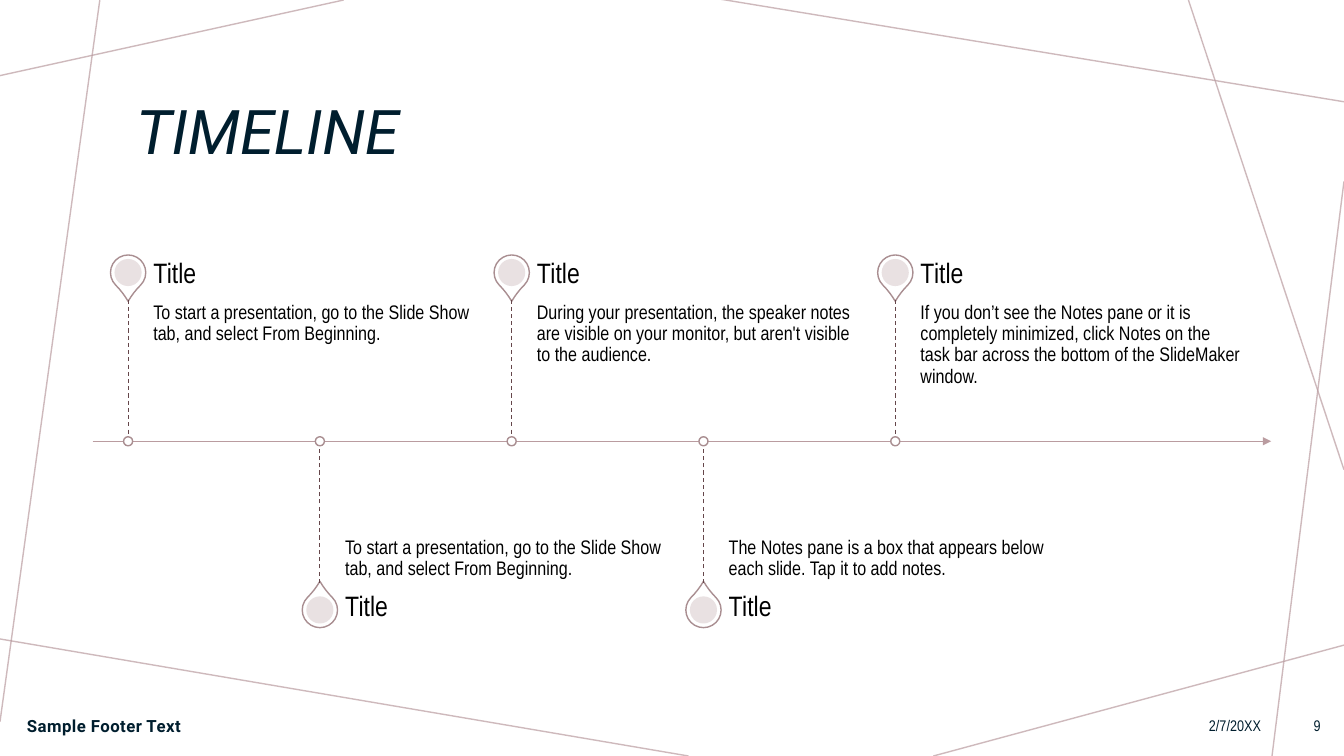
import pptx
import pptx.util
import pptx.dml.color
import pptx.enum.dml
import pptx.enum.shapes
import pptx.enum.text
import pptx.oxml
import pptx.oxml.ns
from dataclasses import dataclass

Pt = pptx.util.Pt
Shape = pptx.enum.shapes.MSO_SHAPE
Align = pptx.enum.text.PP_ALIGN
Anchor = pptx.enum.text.MSO_ANCHOR


@dataclass(frozen=True)
class Theme:
    white: str = "FFFFFF"
    ink: str = "001E2E"
    black: str = "000000"
    rose: str = "BA9CA0"
    outline: str = "A98E91"
    stem: str = "65464A"
    disc: str = "E7DEDF"
    heading_font: str = "Roboto"
    body_font: str = "Arial Narrow"
    title_size: float = 44
    label_size: float = 20
    body_size: float = 14
    footer_size: float = 12
    small_size: float = 11


THEME = Theme()

SLIDE_SIZE = (960, 540)
TITLE = "TIMELINE"
MILESTONES = [
    ("Title", "To start a presentation, go to the Slide Show tab, and select From Beginning."),
    ("Title", "To start a presentation, go to the Slide Show tab, and select From Beginning."),
    ("Title", "During your presentation, the speaker notes are visible on your monitor, "
              "but aren't visible to the audience."),
    ("Title", "The Notes pane is a box that appears below each slide. Tap it to add notes."),
    ("Title", "If you don’t see the Notes pane or it is completely minimized, click Notes on the "
              "task bar across the bottom of the SlideMaker window."),
]
FOOTER = "Sample Footer Text"
DATE = "2/7/20XX"
PAGE_NUMBER = "9"

# Start and end of each background line: x1, y1, x2, y2
BACKGROUND_LINES = [
    (245.5, 0, 0, 54),
    (71.3, 0, 0, 515.5),
    (491.8, 540, -3.6, 455.8),
    (960, 460.8, 666.7, 540),
    (960, 129.6, 908.6, 540),
    (960, 335.5, 848.9, 0),
    (960, 72.7, 514.1, -0.7),
]

AXIS_Y, AXIS_START, AXIS_END = 315.2, 66.2, 908
FIRST_X, STEP_X = 91.5, 137
STEM, PIN_OFFSET = 101.2, 120.5
PIN_SIZE, DISC_SIZE, DOT_SIZE = 25.2, 19.4, 6.5
TEXT_GAP, TEXT_WIDTH, LABEL_HEIGHT = 18, 231, 35.5


def set_alpha(properties, percent):
    color = properties.find(".//" + pptx.oxml.ns.qn("a:srgbClr"))
    alpha = color.makeelement(pptx.oxml.ns.qn("a:alpha"), {"val": str(percent * 1000)})
    color.append(alpha)


def add_line(page, ends, color, width, dashed=False, alpha=None, arrow=False):
    line = page.shapes.add_connector(
        pptx.enum.shapes.MSO_CONNECTOR.STRAIGHT, *[Pt(value) for value in ends])
    line.line.color.rgb = pptx.dml.color.RGBColor.from_string(color)
    line.line.width = Pt(width)
    if dashed:
        line.line.dash_style = pptx.enum.dml.MSO_LINE.DASH
    properties = line._element.spPr
    if alpha:
        set_alpha(properties, alpha)
    if arrow:
        stroke = properties.find(pptx.oxml.ns.qn("a:ln"))
        stroke.append(stroke.makeelement(pptx.oxml.ns.qn("a:tailEnd"), {"type": "triangle"}))
    properties.append(properties.makeelement(pptx.oxml.ns.qn("a:effectLst"), {}))


def add_marker(page, kind, x, y, size, fill, outline=None):
    """Add a shape of equal width and height, centred on x, y."""
    marker = page.shapes.add_shape(kind, Pt(x - size / 2), Pt(y - size / 2), Pt(size), Pt(size))
    marker.shadow.inherit = False
    marker.fill.solid()
    marker.fill.fore_color.rgb = pptx.dml.color.RGBColor.from_string(fill)
    if outline:
        marker.line.color.rgb = pptx.dml.color.RGBColor.from_string(outline)
        marker.line.width = Pt(1)
    else:
        marker.line.fill.background()
    return marker


def format_text(box, text, font, size, color, align=Align.LEFT, anchor=Anchor.MIDDLE,
                insets=(7.2, 3.6), spacing=None, **styles):
    frame = box.text_frame
    frame_format = {
        "word_wrap": True, "auto_size": pptx.enum.text.MSO_AUTO_SIZE.NONE,
        "vertical_anchor": anchor,
        "margin_left": Pt(insets[0]), "margin_right": Pt(insets[0]),
        "margin_top": Pt(insets[1]), "margin_bottom": Pt(insets[1]),
    }
    for name, value in frame_format.items():
        setattr(frame, name, value)
    para = frame.paragraphs[0]
    para.alignment = align
    if spacing:
        para.line_spacing = spacing
    span = para.add_run()
    span.text = text
    for name, value in {"name": font, "size": Pt(size), **styles}.items():
        setattr(span.font, name, value)
    span.font.color.rgb = pptx.dml.color.RGBColor.from_string(color)
    return span


def add_text(page, place, text, font, size, color, **options):
    box = page.shapes.add_textbox(*[Pt(value) for value in place])
    return format_text(box, text, font, size, color, **options)


def add_milestone(page, index, label, description):
    """Add a pin with its texts, above the axis for even indexes and below for odd ones."""
    above = index % 2 == 0
    side = -1 if above else 1
    x = FIRST_X + index * STEP_X
    pin_y = AXIS_Y + side * PIN_OFFSET
    text_x = x + TEXT_GAP

    pin = add_marker(page, Shape.TEAR, x, pin_y, PIN_SIZE, THEME.white, THEME.outline)
    pin.adjustments[0] = 1.15
    pin.rotation = 135 if above else 315
    disc = add_marker(page, Shape.OVAL, x, pin_y, DISC_SIZE, THEME.disc)
    set_alpha(disc._element.spPr, 90)

    body_top = AXIS_Y - STEM if above else AXIS_Y
    label_top = body_top - LABEL_HEIGHT if above else body_top + STEM
    add_text(page, (text_x, body_top, TEXT_WIDTH, STEM), description,
             THEME.body_font, THEME.body_size, THEME.black, insets=(0, 2.2), spacing=0.9,
             anchor=Anchor.TOP if above else Anchor.BOTTOM)
    add_text(page, (text_x, label_top, TEXT_WIDTH, LABEL_HEIGHT), label,
             THEME.body_font, THEME.label_size, THEME.black, insets=(0, 0), spacing=0.9)

    add_line(page, (x, AXIS_Y + side * STEM, x, AXIS_Y), THEME.stem, 0.75, dashed=True)
    add_marker(page, Shape.OVAL, x, AXIS_Y, DOT_SIZE, THEME.white, THEME.outline)


def add_title(page):
    title = page.shapes.title
    place = {"left": 90, "top": 41.8, "width": 779.8, "height": 108.7}
    for name, value in place.items():
        setattr(title, name, Pt(value))
    format_text(title, TITLE, THEME.heading_font, THEME.title_size, THEME.ink,
                spacing=0.9, italic=True)


def add_footer(page):
    top, height = 504, 28.8
    footer = add_text(page, (12.2, top, 354.2, height), FOOTER,
                      THEME.heading_font, THEME.footer_size, THEME.ink, bold=True)
    footer.font._element.set("spc", "30")
    for left, width, text in [(577.4, 330.5, DATE), (913.7, 36.7, PAGE_NUMBER)]:
        add_text(page, (left, top, width, height), text,
                 THEME.body_font, THEME.small_size, THEME.ink, align=Align.RIGHT)


def main():
    deck = pptx.Presentation()
    deck.slide_width, deck.slide_height = [Pt(value) for value in SLIDE_SIZE]
    page = deck.slides.add_slide(deck.slide_layouts[5])
    for ends in BACKGROUND_LINES:
        add_line(page, ends, THEME.rose, 1, alpha=70)
    add_line(page, (AXIS_START, AXIS_Y, AXIS_END, AXIS_Y), THEME.rose, 1, arrow=True)
    for index, (label, description) in enumerate(MILESTONES):
        add_milestone(page, index, label, description)
    add_title(page)
    add_footer(page)
    deck.save("out.pptx")


if __name__ == "__main__":
    main()
